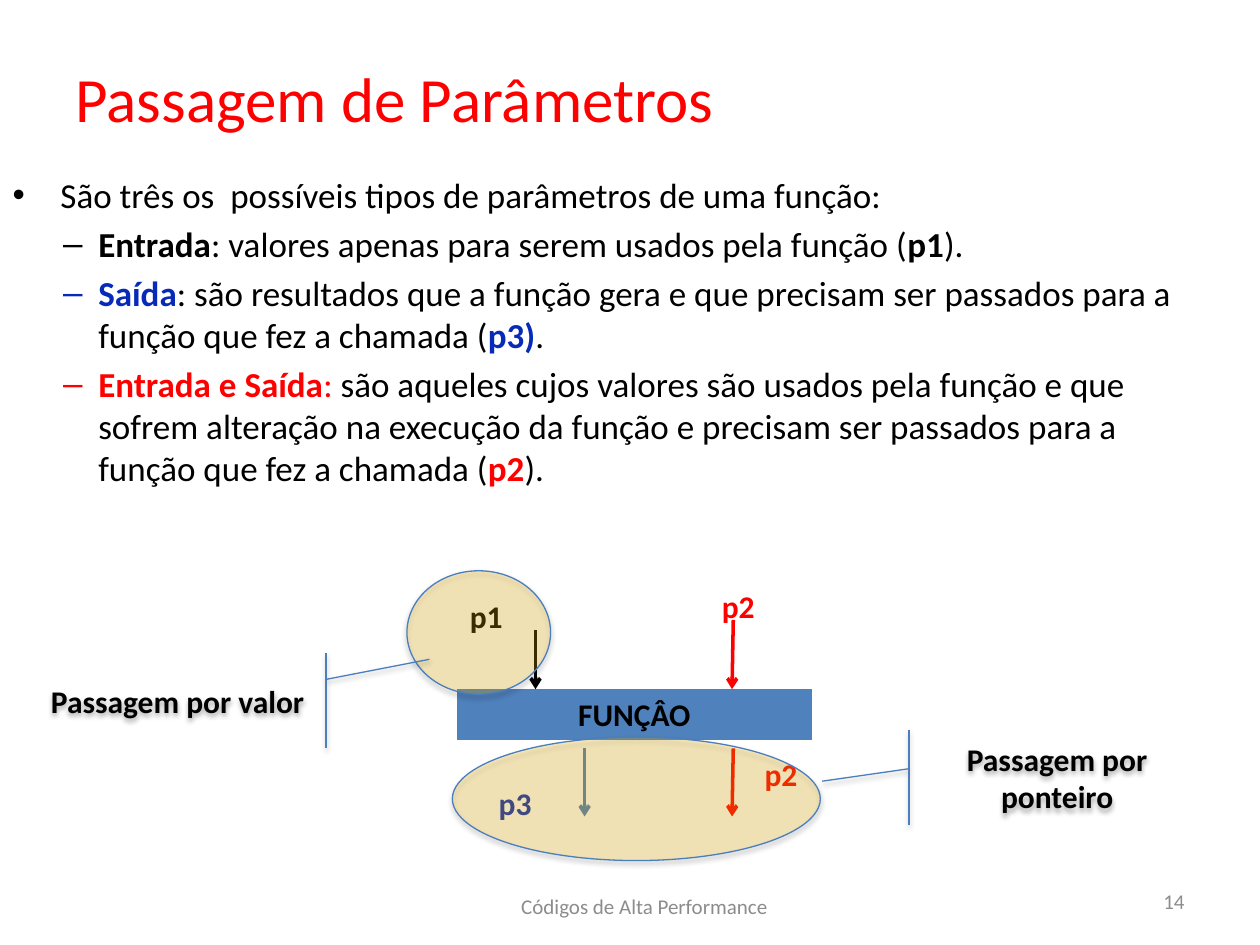
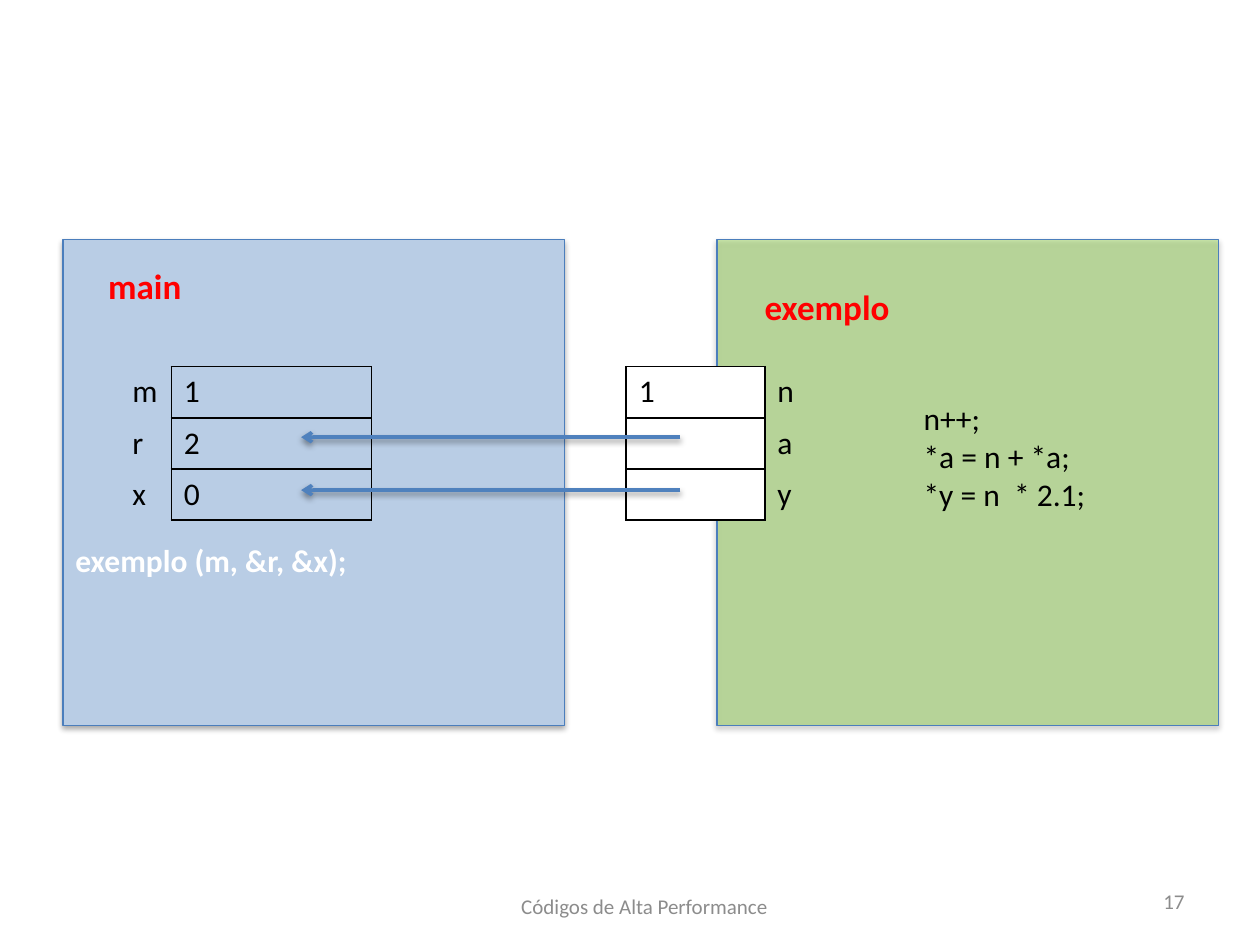
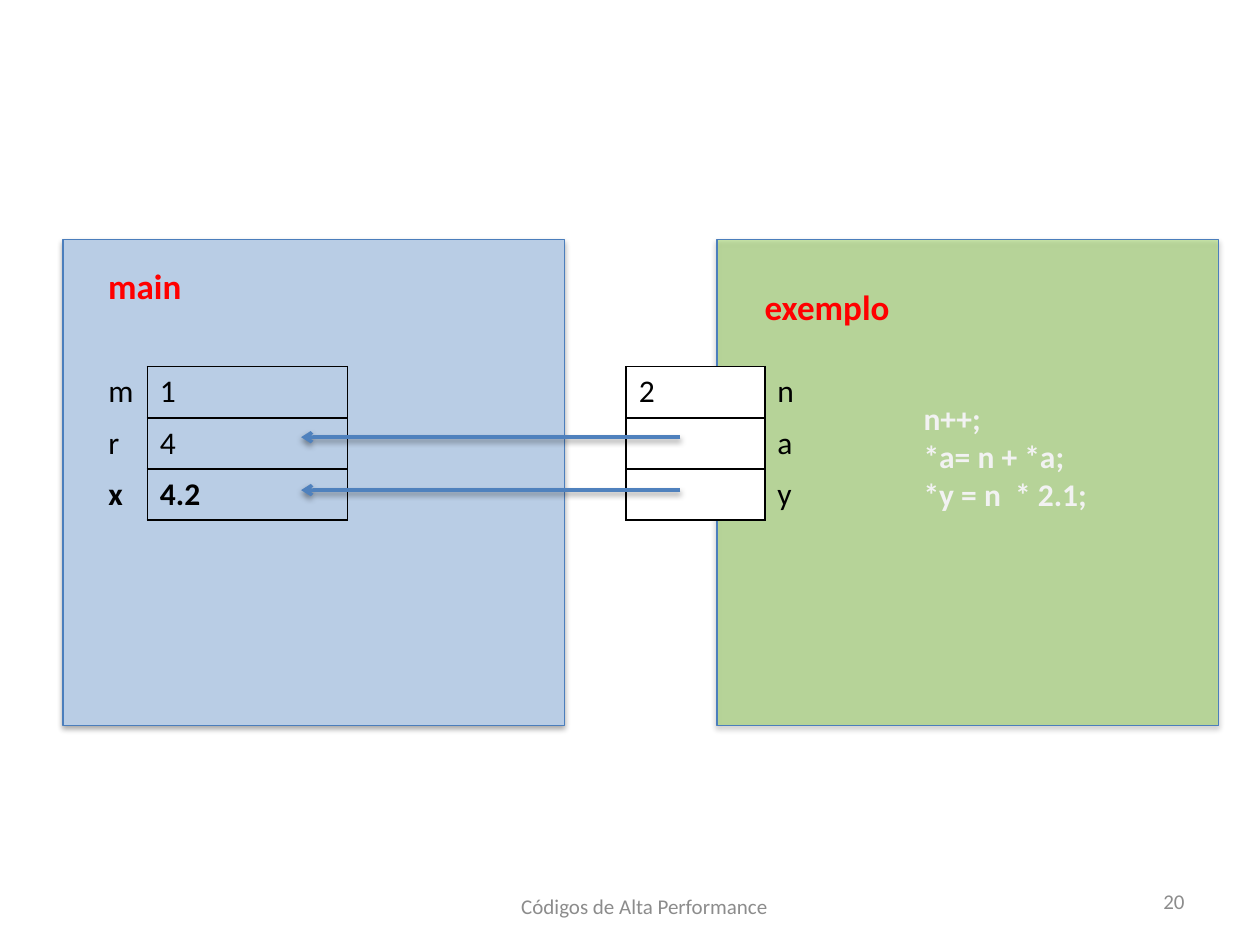
from dataclasses import dataclass

from lxml import etree
from pptx import Presentation
from pptx import util as u
from pptx.dml.color import RGBColor
from pptx.enum import shapes, text
from pptx.oxml import ns

KIND = shapes.MSO_SHAPE
ALIGN = text.PP_ALIGN
MID = text.MSO_ANCHOR.MIDDLE


# Colours and type sizes
@dataclass(frozen=True)
class Theme:
    font: str = "Calibri"
    black: str = "000000"
    white: str = "FFFFFF"
    pale: str = "F2F2F2"
    red: str = "FF0000"
    navy: str = "082AB8"
    gray: str = "8C8C8C"
    blue: str = "4F81BD"
    edge: str = "4B7EBC"
    sky: str = "B9CDE5"
    green: str = "92D050"
    gold: str = "FFC000"
    title: int = 36
    body: int = 20
    label: int = 18
    foot: int = 12


T = Theme()


def rgb(code):
    return RGBColor.from_string(code)


def place(item, box):
    item.left, item.top, item.width, item.height = map(u.Inches, box)


def node(parent, tag, **attrs):
    return etree.SubElement(parent, ns.qn(tag), attrs)


# Text
def style(font, size, color=T.black, bold=False):
    font.name, font.size, font.bold = T.font, u.Pt(size), bold
    font.color.rgb = rgb(color)


def write(frame, lines, size=T.label, color=T.black, bold=False, align=ALIGN.LEFT):
    frame.word_wrap = True
    for i, line in enumerate(lines):
        para = frame.paragraphs[0] if i == 0 else frame.add_paragraph()
        para.text, para.alignment = line, align
        style(para.font, size, color, bold)


def label(slide, box, *lines, anchor=text.MSO_ANCHOR.TOP, **look):
    item = slide.shapes.add_textbox(*map(u.Inches, box))
    item.text_frame.vertical_anchor = anchor
    write(item.text_frame, lines, **look)
    return item


def footer(slide, number):
    look = dict(anchor=MID, size=T.foot, color=T.gray)
    label(slide, (3.2, 6.88, 3.83, 0.62), "Códigos de Alta Performance",
          align=ALIGN.CENTER, **look)
    label(slide, (7.17, 6.95, 2.33, 0.4), str(number), align=ALIGN.RIGHT, **look)


# Shapes and lines
def shade(effects, alpha, dist):
    cast = node(effects, "a:outerShdw", blurRad=str(u.Pt(3.1)), dist=str(u.Pt(dist)),
                dir="5400000", rotWithShape="0")
    tint = node(cast, "a:srgbClr", val=T.black)
    node(tint, "a:alpha", val=str(alpha * 1000))


def shape(slide, kind, box, fill=None, alpha=None, edge=T.edge, shadow=True):
    item = slide.shapes.add_shape(kind, *map(u.Inches, box))
    props = item._element.spPr
    if fill:
        item.fill.solid()
        item.fill.fore_color.rgb = rgb(fill)
    else:
        item.fill.background()
    if alpha:
        tint = props.find(ns.qn("a:solidFill")).find(ns.qn("a:srgbClr"))
        node(tint, "a:alpha", val=str(alpha * 1000))
    item.line.color.rgb, item.line.width = rgb(edge), u.Pt(0.75)
    item.shadow.inherit = False
    if shadow:
        shade(props.find(ns.qn("a:effectLst")), 35, 1.8)
    return item


def arrow(slide, start, end, color, shadow=False):
    item = slide.shapes.add_connector(
        shapes.MSO_CONNECTOR.STRAIGHT, *map(u.Inches, start + end))
    item.line.color.rgb, item.line.width = rgb(color), u.Pt(2)
    props = item._element.spPr
    node(props.find(ns.qn("a:ln")), "a:tailEnd", type="arrow")
    effects = node(props, "a:effectLst")
    if shadow:
        shade(effects, 38, 1.6)


def callout(slide, box, words, adjust):
    item = shape(slide, KIND.LINE_CALLOUT_1_ACCENT_BAR, box)
    for i, value in enumerate(adjust):
        item.adjustments[i] = value
    item.text_frame.vertical_anchor = MID
    write(item.text_frame, [words], bold=True, align=ALIGN.CENTER)


# Tables of variables: one boxed column of values, one open column of names
def border(cell, sides):
    props = cell._tc.get_or_add_tcPr()
    for i, side in enumerate("LRTB"):
        line = etree.Element(ns.qn("a:ln" + side), w=str(u.Pt(1)))
        if side in sides:
            node(node(line, "a:solidFill"), "a:srgbClr", val=T.black)
        else:
            node(line, "a:noFill")
        props.insert(i, line)


def memory(slide, left, widths, rows, boxed, fill=None, strong=()):
    grid = slide.shapes.add_table(
        len(rows), 2, u.Inches(left), u.Inches(2.91),
        u.Inches(sum(widths)), u.Inches(1.22)).table
    grid.first_row = grid.horz_banding = False
    for col, width in zip(grid.columns, widths):
        col.width = u.Inches(width)
    for r, row in enumerate(rows):
        for c, word in enumerate(row):
            cell = grid.cell(r, c)
            write(cell.text_frame, [word], bold=word in strong)
            if c == boxed and fill:
                cell.fill.solid()
                cell.fill.fore_color.rgb = rgb(fill)
            else:
                cell.fill.background()
            border(cell, "LRTB" if c == boxed else "RL"[c])


# Slide with the kinds of parameter
def bullets(frame, items):
    frame.auto_size = text.MSO_AUTO_SIZE.NONE
    for i, runs in enumerate(items):
        para = frame.paragraphs[0] if i == 0 else frame.add_paragraph()
        para.level = min(i, 1)
        margin, hang = (0.68, 0.28) if i else (0.38, 0.38)
        props = para._p.get_or_add_pPr()
        props.set("marL", str(u.Inches(margin)))
        props.set("indent", str(-u.Inches(hang)))
        for words, color, bold in runs:
            run = para.add_run()
            run.text = words
            style(run.font, T.body, color, bold)


def params(deck):
    slide = deck.slides.add_slide(deck.slide_layouts[1])
    title, body = slide.placeholders
    place(title, (0.5, 0.3, 7.63, 0.95))
    title.text_frame.vertical_anchor = MID
    write(title.text_frame, ["Passagem de Parâmetros"], T.title, T.red)
    place(body, (0, 1.33, 9.77, 3.44))
    bullets(body.text_frame, [
        [("São três os  possíveis tipos de parâmetros de uma função:", T.black, False)],
        [("Entrada", T.black, True),
         (": valores apenas para serem usados pela função (", T.black, False),
         ("p1", T.black, True), (").", T.black, False)],
        [("Saída", T.navy, True),
         (": são resultados que a função gera e que precisam ser passados para a "
          "função que fez a chamada (", T.black, False),
         ("p3)", T.navy, True), (".", T.black, False)],
        [("Entrada e Saída", T.red, True), (": ", T.red, False),
         ("são aqueles cujos valores são usados pela função e que sofrem alteração "
          "na execução da função e precisam ser passados para a função que fez a "
          "chamada (", T.black, False),
         ("p2", T.red, True), (").", T.black, False)],
    ])
    footer(slide, 14)

    # Function with its inputs and outputs
    func = shape(slide, KIND.RECTANGLE, (3.63, 5.47, 2.81, 0.4), T.blue,
                 edge=T.blue, shadow=False)
    func.text_frame.vertical_anchor = MID
    write(func.text_frame, ["FUNÇÂO"], bold=True, align=ALIGN.CENTER)
    for start, end, color in [
        ((4.25, 5), (4.25, 5.47), T.black),
        ((5.82, 4.92), (5.81, 5.47), T.red),
        ((4.64, 5.94), (4.64, 6.48), T.edge),
        ((5.82, 5.94), (5.81, 6.48), T.red),
    ]:
        arrow(slide, start, end, color)
    for name, left, top, color in [
        ("p2", 5.63, 4.61, T.red), ("p1", 3.63, 4.69, T.black),
        ("p2", 5.97, 5.94, T.red), ("p3", 3.86, 6.17, T.navy),
    ]:
        label(slide, (left, top, 0.55, 0.4), name, color=color, bold=True)

    # Ways of passing
    for oval, box, words, adjust in [
        ((3.23, 4.53, 1.14, 0.98), (0.3, 5.18, 2.22, 0.76),
         "Passagem por valor", (0.28, 1.03, 0.07, 1.4)),
        ((3.59, 5.85, 2.92, 0.98), (7.28, 5.79, 2.22, 0.76),
         "Passagem por ponteiro", (0.41, -0.03, 0.54, -0.34)),
    ]:
        shape(slide, KIND.OVAL, oval, T.gold, 23)
        callout(slide, box, words, adjust)


# Slides that follow the call
def trace(deck, number, left, values, arg, code, call=None, strong=(), **look):
    slide = deck.slides.add_slide(deck.slide_layouts[6])
    caller = shape(slide, KIND.RECTANGLE, (0.5, 1.9, 3.98, 3.86), T.sky)
    if call:
        frame = caller.text_frame
        frame.vertical_anchor = text.MSO_ANCHOR.TOP
        frame.margin_top = u.Inches(2.39)
        write(frame, [call], color=T.white, bold=True)
    shape(slide, KIND.RECTANGLE, (5.69, 1.9, 3.98, 3.86), T.green, 46)

    head = dict(size=T.body, color=T.red, bold=True)
    label(slide, (0.76, 2.05, 1.19, 0.44), "main", **head)
    memory(slide, left, (0.41, 1.59), list(zip("mrx", values)), 1, strong=strong)
    label(slide, (5.97, 2.22, 2.15, 0.44), "exemplo", **head)
    memory(slide, 4.97, (1.1, 1.09), list(zip((arg, "", ""), "nay")), 0, T.white)

    # Pointers to the caller's variables
    for y in (3.47, 3.89):
        arrow(slide, (5.4, y), (2.39, y), T.blue, shadow=True)
    item = label(slide, (7.17, 3.12, 2.56, 1.01), *code, **look)
    item.text_frame.margin_left = u.Inches(0.16)
    footer(slide, number)


def main():
    deck = Presentation()
    deck.slide_width, deck.slide_height = u.Inches(10), u.Inches(7.5)
    params(deck)
    trace(deck, 17, 0.95, ("1", "2", "0"), "1",
          ("n++;", "*a = n + *a;", "*y = n  * 2.1;"), call="exemplo (m, &r, &x);")
    trace(deck, 20, 0.76, ("1", "4", "4.2"), "2",
          ("n++;", "*a= n + *a;", "*y = n  * 2.1;"), strong=("x", "4.2"),
          color=T.pale, bold=True)
    deck.save("out.pptx")


if __name__ == "__main__":
    main()
